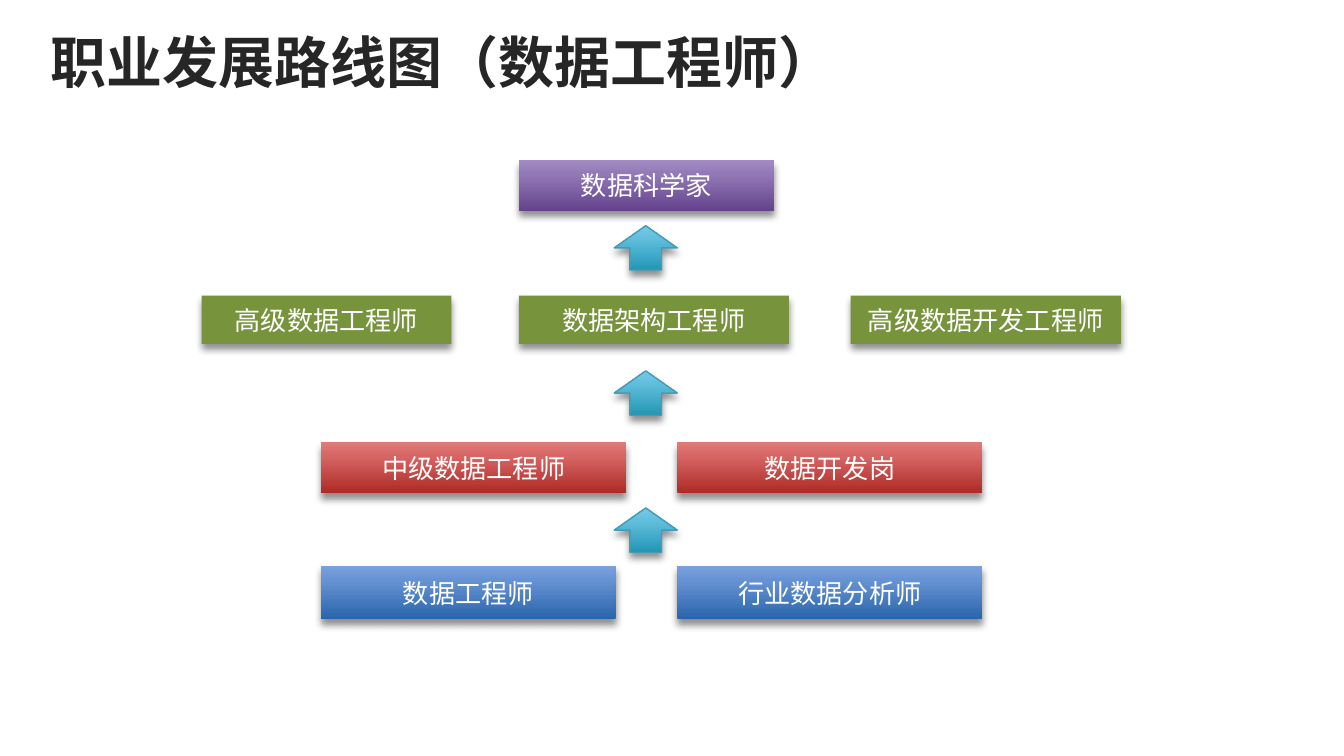
from copy import deepcopy

from lxml import etree
from pptx import Presentation
from pptx.dml.color import RGBColor
from pptx.enum.shapes import MSO_SHAPE as Shape
from pptx.enum.text import MSO_ANCHOR as Anchor, PP_ALIGN as Align
from pptx.oxml import parse_xml
from pptx.oxml.ns import nsdecls, qn
from pptx.util import Inches, Pt

SLIDE_WIDTH = 10
SLIDE_HEIGHT = SLIDE_WIDTH * 9 / 16
FONT = "Noto Sans CJK SC"
COLORS = {
    "title": "262626",
    "label": "FFFFFF",
    "senior": "77933C",
    "arrow_edge": "449CB4",
}
GRADIENTS = {
    "scientist": ("64438C", "9278B6", "A38CC4"),
    "middle": ("AE2A26", "D66563", "E17B79"),
    "junior": ("2964AB", "6592D3", "7BA1DE"),
    "arrow": ("2396B5", "61BFDD", "77CAE7"),
}
STOP_POSITIONS = (0, 0.72, 1)
TITLE_FORMAT = {"size": Pt(30), "bold": True, "name": FONT}
LABEL_FORMAT = {"size": Pt(14), "bold": False, "name": FONT}
FRAME_FORMAT = {"word_wrap": True, "vertical_anchor": Anchor.MIDDLE}

LEVELS = [
    ("scientist", 0, 0.38, [(2.36, 1.9, "数据科学家")]),
    ("senior", 1.01, 0.36, [
        (0, 1.86, "高级数据工程师"),
        (2.36, 2.01, "数据架构工程师"),
        (4.83, 2.01, "高级数据开发工程师"),
    ]),
    ("middle", 2.1, 0.38, [
        (0.89, 2.27, "中级数据工程师"),
        (3.54, 2.27, "数据开发岗"),
    ]),
    ("junior", 3.02, 0.4, [
        (0.89, 2.19, "数据工程师"),
        (3.54, 2.27, "行业数据分析师"),
    ]),
]
ARROW_LEFT = 3.07
ARROW_TOPS = (0.49, 1.57, 2.59)
ARROW_SIZE = (0.47, 0.33)


def rgb(key):
    return RGBColor.from_string(COLORS[key])


def apply_format(target, values):
    for attribute, value in values.items():
        setattr(target, attribute, value)


def write_text(frame, text, color, font_format, align):
    apply_format(frame, FRAME_FORMAT)
    paragraph = frame.paragraphs[0]
    paragraph.alignment = align
    run = paragraph.add_run()
    run.text = text
    apply_format(run.font, font_format)
    run.font.color.rgb = rgb(color)
    east_asian = etree.SubElement(run._r.get_or_add_rPr(), qn("a:ea"))
    east_asian.set("typeface", FONT)


def fill_shape(shape, key):
    if key in COLORS:
        shape.fill.solid()
        shape.fill.fore_color.rgb = rgb(key)
        return
    shape.fill.gradient()
    shape.fill.gradient_angle = 90
    stop_list = shape._element.spPr.find(".//" + qn("a:gsLst"))
    stop_list.insert(1, deepcopy(stop_list[0]))
    for stop, position, color in zip(
        shape.fill.gradient_stops, STOP_POSITIONS, GRADIENTS[key]
    ):
        stop.position = position
        stop.color.rgb = RGBColor.from_string(color)


def drop_shadow(shape):
    shape.shadow.inherit = False
    effects = shape._element.spPr.find(qn("a:effectLst"))
    effects.append(parse_xml(
        f'<a:outerShdw {nsdecls("a")} blurRad="{Pt(4)}" dist="{Pt(3)}" '
        'dir="5400000" algn="t" rotWithShape="0"><a:srgbClr val="000000">'
        '<a:alpha val="43000"/></a:srgbClr></a:outerShdw>'
    ))


def add_block(slide, kind, box, fill):
    block = slide.shapes.add_shape(kind, *map(Inches, box))
    fill_shape(block, fill)
    block.line.fill.background()
    drop_shadow(block)
    return block


def add_title(slide, box, text):
    title = slide.shapes.add_textbox(*map(Inches, box))
    write_text(title.text_frame, text, "title", TITLE_FORMAT, Align.LEFT)


def add_roadmap(slide, left, top):
    for level, level_top, height, roles in LEVELS:
        for role_left, width, role in roles:
            box = (left + role_left, top + level_top, width, height)
            block = add_block(slide, Shape.RECTANGLE, box, level)
            write_text(block.text_frame, role, "label", LABEL_FORMAT, Align.CENTER)
    for arrow_top in ARROW_TOPS:
        box = (left + ARROW_LEFT, top + arrow_top, *ARROW_SIZE)
        arrow = add_block(slide, Shape.UP_ARROW, box, "arrow")
        arrow.line.color.rgb = rgb("arrow_edge")
        arrow.line.width = Pt(0.75)


def main():
    deck = Presentation()
    deck.slide_width, deck.slide_height = Inches(SLIDE_WIDTH), Inches(SLIDE_HEIGHT)
    slide = deck.slides.add_slide(deck.slide_layouts[6])
    add_title(slide, (0.28, 0.13, 8.83, 0.65), "职业发展路线图（数据工程师）")
    add_roadmap(slide, 1.5, 1.19)
    deck.save("out.pptx")


if __name__ == "__main__":
    main()
